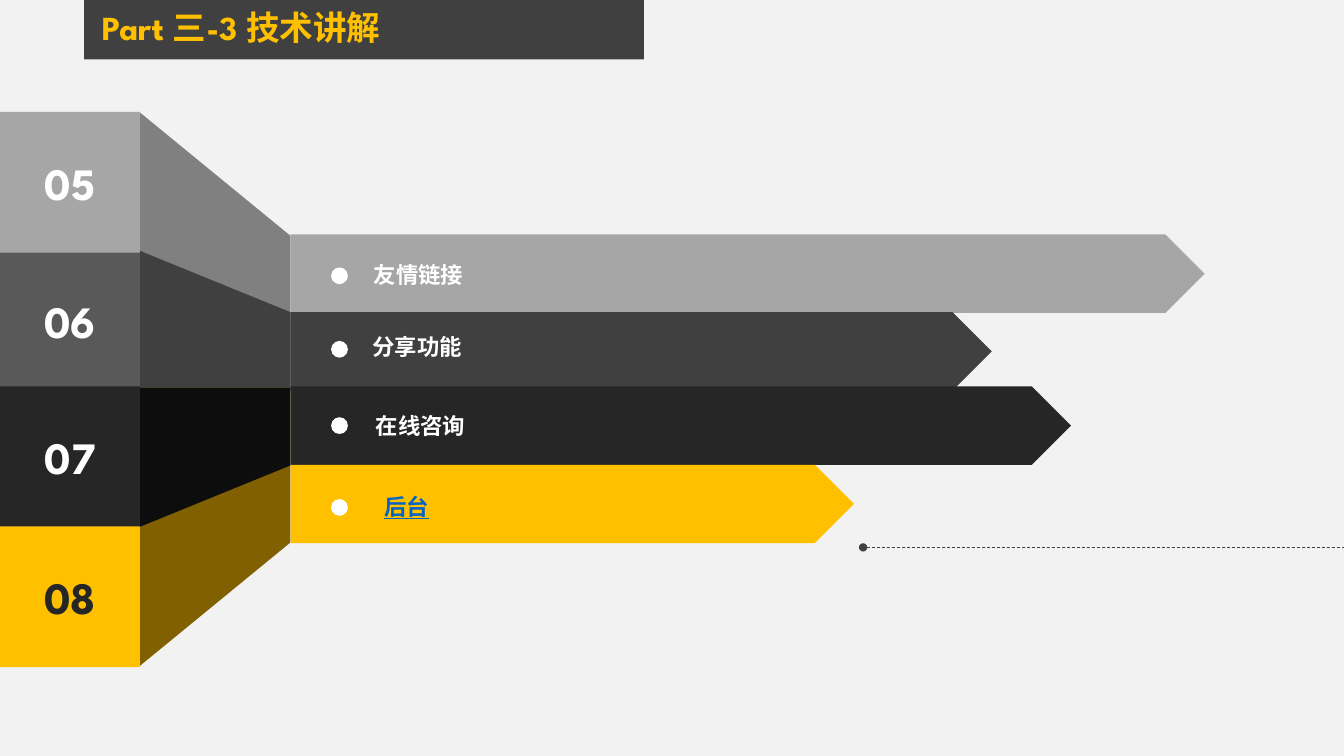
import pptx
import pptx.util
import pptx.dml.color
import pptx.enum.dml
import pptx.enum.shapes
import pptx.enum.text
import pptx.oxml

RGB = pptx.dml.color.RGBColor
KIND = pptx.enum.shapes.MSO_SHAPE
ALIGN = pptx.enum.text.PP_ALIGN
ANCHOR = pptx.enum.text.MSO_ANCHOR

PALE = RGB(0xF2, 0xF2, 0xF2)
WHITE = RGB(0xFF, 0xFF, 0xFF)
SILVER = RGB(0xA6, 0xA6, 0xA6)
GRAY = RGB(0x80, 0x80, 0x80)
SLATE = RGB(0x59, 0x59, 0x59)
DARK = RGB(0x40, 0x40, 0x40)
COAL = RGB(0x26, 0x26, 0x26)
BLACK = RGB(0x0D, 0x0D, 0x0D)
GOLD = RGB(0xFF, 0xC0, 0x00)
BROWN = RGB(0x80, 0x60, 0x00)
BLUE = RGB(0x05, 0x63, 0xC1)

COLS = 96  # square grid cells across the slide
FONT = "League Spartan"


def write(frame, text, size=16, color=WHITE, align=ALIGN.CENTER,
          anchor=ANCHOR.MIDDLE, line=False, wrap=True):
    """Put one formatted paragraph into a text frame."""
    frame.word_wrap = wrap
    frame.auto_size = pptx.enum.text.MSO_AUTO_SIZE.NONE
    frame.vertical_anchor = anchor
    para = frame.paragraphs[0]
    para.alignment = align
    run = para.add_run()
    run.text = text
    font = run.font
    font.name, font.size, font.bold = FONT, pptx.util.Pt(size), True
    font.color.rgb = color
    if line:
        font.underline = True
    return para


class Page:
    """The current slide and its grid."""

    def __init__(self, deck):
        """Add a title-only slide with a pale ground."""
        self.cell = deck.slide_width / COLS
        self.slide = deck.slides.add_slide(deck.slide_layouts[5])
        self.shapes = self.slide.shapes
        ground = self.slide.background.fill
        ground.solid()
        ground.fore_color.rgb = PALE

    def grid(self, *cells):
        """Turn grid cells into lengths."""
        return [pptx.util.Emu(round(c * self.cell)) for c in cells]

    def paint(self, shape, color):
        """Give a shape a flat fill with no line or shadow."""
        shape.shadow.inherit = False
        shape.fill.solid()
        shape.fill.fore_color.rgb = color
        shape.line.fill.background()
        return shape

    def block(self, kind, color, *box):
        """Add a flat preset shape."""
        return self.paint(self.shapes.add_shape(kind, *self.grid(*box)), color)

    def fold(self, color, points):
        """Add a flat polygon."""
        start, *rest = [self.grid(*p) for p in points]
        path = self.shapes.build_freeform(*start)
        path.add_line_segments(rest, close=True)
        return self.paint(path.convert_to_shape(), color)

    def label(self, text, *box, **style):
        """Add a text box."""
        area = self.shapes.add_textbox(*self.grid(*box))
        write(area.text_frame, text, **style)

    def head(self, text, band, *box):
        """Place the title on top of its band."""
        title = self.shapes.title
        title.left, title.top, title.width, title.height = self.grid(*box)
        para = write(title.text_frame, text, size=24, color=GOLD,
                     align=ALIGN.LEFT, anchor=ANCHOR.TOP)
        para.line_spacing = 0.9
        para.space_before = pptx.util.Pt(10)
        band.element.addnext(title.element)

    def rule(self, *ends):
        """Add a dashed line that starts with a dot."""
        rule = self.shapes.add_connector(
            pptx.enum.shapes.MSO_CONNECTOR.STRAIGHT, *self.grid(*ends))
        rule.line.color.rgb = DARK
        rule.line.width = pptx.util.Pt(0.5)
        rule.line.dash_style = pptx.enum.dml.MSO_LINE.DASH
        space = pptx.oxml.ns.qn
        tip = rule.line._get_or_add_ln().makeelement(
            space("a:headEnd"), {"type": "oval"})
        rule.line._get_or_add_ln().append(tip)
        props = rule.element.spPr
        props.append(props.makeelement(space("a:effectLst"), {}))


deck = pptx.Presentation()
deck.slide_width = pptx.util.Inches(13.333)
deck.slide_height = pptx.util.Inches(7.5)
page = Page(deck)

band = page.block(KIND.RECTANGLE, DARK, 6, 0, 40, 4.25)
page.head("Part 三-3 技术讲解", band, 6.55, 0.43, 27, 3.6)

# Folds: colour, bar edge, tile edge, inner edge
NEAR, FAR = 9.95, 20.75
FOLDS = [
    (GRAY, 16.85, 8, 27.85),
    (DARK, 22.3, 17.9, 27.85),
    (BROWN, 38.75, 47.6, 27.7),
    (BLACK, 33.25, 37.65, 27.7),
]
for color, bar, tile, mid in FOLDS:
    page.fold(color, [(FAR, bar), (NEAR, tile), (NEAR, mid), (FAR, mid)])

# Tiles, back to front: number, colour, top, ink
TILES = [
    ("06", SLATE, 17.9, WHITE),
    ("07", COAL, 27.6, WHITE),
    ("08", GOLD, 37.6, COAL),
    ("05", SILVER, 8, WHITE),
]
for num, color, top, ink in TILES:
    tile = page.block(KIND.RECTANGLE, color, 0, top, 10, 10.05)
    write(tile.text_frame, num, size=32, color=ink)

# Bars: text, colour, top, width, text centre, text top, dot top, style
BARS = [
    ("友情链接", SILVER, 16.75, 65.3, 29.9, 18.3, 19.1, {}),
    ("分享功能", DARK, 22.3, 50.1, 29.8, 23.45, 24.35, {}),
    ("在线咨询", COAL, 27.6, 55.75, 30.05, 29.1, 29.8, {}),
    ("后台", GOLD, 33.2, 40.25, 29.05, 34.85, 35.65,
     {"color": BLUE, "line": True}),
]
for text, color, top, wide, mid, high, dot, style in BARS:
    page.block(KIND.PENTAGON, color, FAR, top, wide, 5.6)
    page.label(text, mid - 4, high, 8, 2.65, wrap=False, **style)
    page.block(KIND.OVAL, WHITE, 23.65, dot, 1.2, 1.2)

page.rule(61.65, 39.1, COLS, 39.1)
deck.save("out.pptx")
